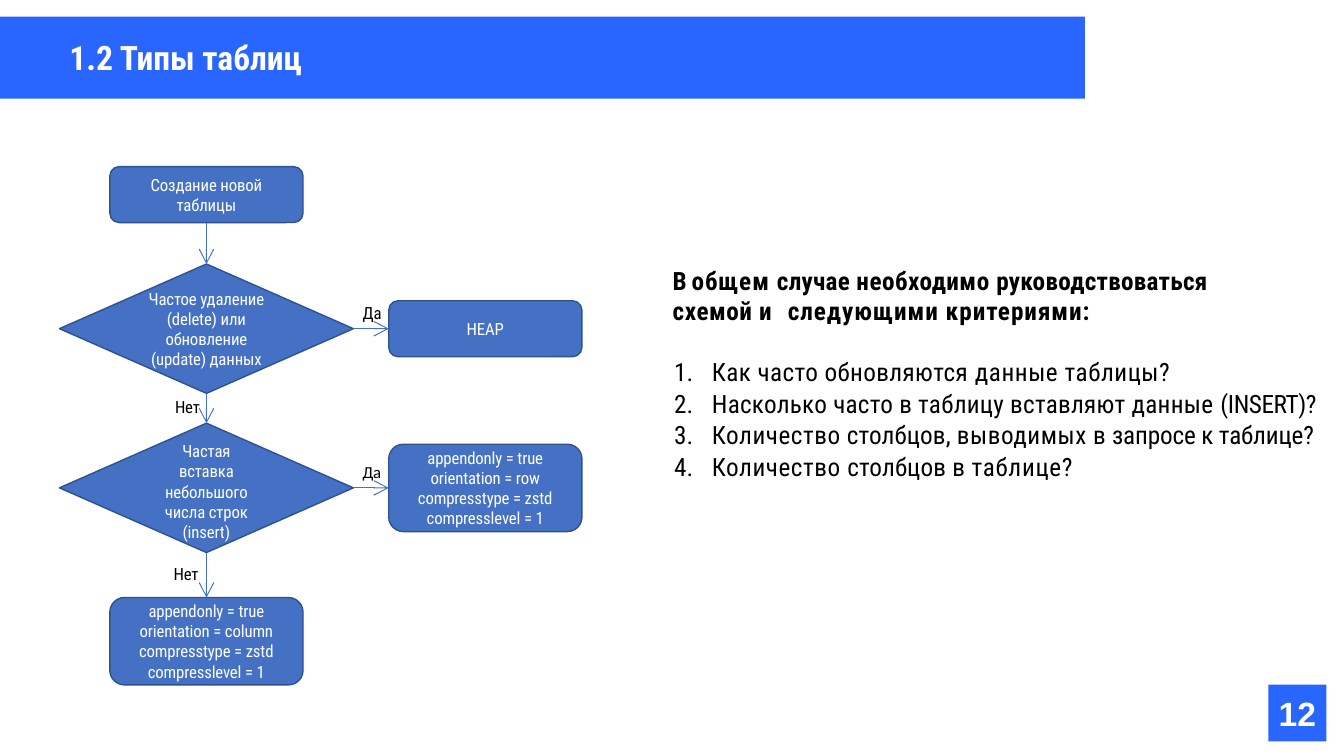
import dataclasses

import pptx
import pptx.dml.color
import pptx.enum.shapes
import pptx.enum.text
import pptx.oxml
import pptx.oxml.ns
import pptx.util

Pt = pptx.util.Pt
RGB = pptx.dml.color.RGBColor.from_string
SHAPE = pptx.enum.shapes.MSO_SHAPE
ALIGN = pptx.enum.text.PP_ALIGN
ANCHOR = pptx.enum.text.MSO_ANCHOR
TOP, LEFT, BOTTOM, RIGHT = range(4)


@dataclasses.dataclass(frozen=True)
class Theme:
    accent: str = "2965FF"
    node: str = "4471C4"
    outline: str = "2E528F"
    light: str = "FFFFFF"
    dark: str = "000000"
    font: str = "Roboto Condensed"
    number_font: str = "Arial"
    label_font: str = "Calibri"
    title: int = 24
    body: int = 18
    small: int = 12


class SlideBuilder:
    def __init__(self, slide, theme):
        self.slide, self.theme = slide, theme

    def place(self, sp, left, top, width, height):
        box = {"left": left, "top": top, "width": width, "height": height}
        for name, value in box.items():
            setattr(sp, name, Pt(value))

    def text(self, sp, paragraphs, size, color, bold=False, font=None,
             align=ALIGN.LEFT, anchor=ANCHOR.TOP, wrap=True, before=0, inset=0):
        tf = sp.text_frame
        frame = {"word_wrap": wrap, "vertical_anchor": anchor,
                 "auto_size": pptx.enum.text.MSO_AUTO_SIZE.NONE}
        for side in ("left", "top", "right", "bottom"):
            frame["margin_" + side] = Pt(inset)
        for name, value in frame.items():
            setattr(tf, name, value)
        style = {"name": font or self.theme.font, "size": Pt(size), "bold": bold}
        for i, runs in enumerate(paragraphs):
            p = tf.add_paragraph() if i else tf.paragraphs[0]
            p.alignment, p.space_before = align, Pt(before)
            for words, spacing in runs:
                for j, line in enumerate(words.split("\n")):
                    if j:
                        p.add_line_break()
                    r = p.add_run()
                    r.text = line
                    for name, value in style.items():
                        setattr(r.font, name, value)
                    r.font.color.rgb = RGB(color)
                    r._r.get_or_add_rPr().set("spc", str(round(spacing * 100)))
        return tf

    def title(self, words, *box):
        sp = self.slide.shapes.title
        self.place(sp, *box)
        self.text(sp, [[(words, 0)]], self.theme.title, self.theme.light,
                  bold=True, anchor=ANCHOR.MIDDLE, inset=7)

    def numbered_list(self, items, *box):
        sp = self.slide.placeholders[1]
        self.place(sp, *box)
        tf = self.text(sp, items, self.theme.body, self.theme.dark, before=0.9)
        for p in tf.paragraphs:
            pPr = p._p.get_or_add_pPr()
            pPr.set("marL", str(Pt(28)))
            pPr.set("indent", str(Pt(-27)))
            pPr.append(pptx.oxml.parse_xml(
                "<a:buAutoNum %s type='arabicPeriod'/>" % pptx.oxml.ns.nsdecls("a")))

    def shape(self, kind, fill, *box, line=None):
        sp = self.slide.shapes.add_shape(kind, *map(Pt, box))
        sp.shadow.inherit = False
        sp.fill.solid()
        sp.fill.fore_color.rgb = RGB(fill)
        if line:
            sp.line.color.rgb = RGB(line)
            sp.line.width = Pt(1)
        else:
            sp.line.fill.background()
        return sp

    def banner(self, *box):
        sp = self.shape(SHAPE.RECTANGLE, self.theme.accent, *box)
        self.slide.shapes._spTree.insert(2, sp._element)

    def page_number(self, number, *box):
        sp = self.shape(SHAPE.RECTANGLE, self.theme.accent, *box)
        self.text(sp, [[(number, 0)]], self.theme.title, self.theme.light, bold=True,
                  font=self.theme.number_font, align=ALIGN.CENTER, anchor=ANCHOR.MIDDLE)

    def node(self, kind, words, x, y, width, height):
        sp = self.shape(kind, self.theme.node, x - width / 2, y - height / 2,
                        width, height, line=self.theme.outline)
        self.text(sp, [[(words, -0.1)]], self.theme.small, self.theme.light,
                  align=ALIGN.CENTER, anchor=ANCHOR.MIDDLE, wrap=False)
        return sp

    def arrow(self, start, end, start_side, end_side):
        sp = self.slide.shapes.add_connector(
            pptx.enum.shapes.MSO_CONNECTOR.STRAIGHT, 0, 0, 0, 0)
        sp.begin_connect(start, start_side)
        sp.end_connect(end, end_side)
        sp.line.color.rgb = RGB(self.theme.node)
        sp.line.width = Pt(0.75)
        ns = pptx.oxml.ns.nsdecls("a")
        sp.line._get_or_add_ln().append(pptx.oxml.parse_xml(
            "<a:tailEnd %s type='arrow' w='lg' len='lg'/>" % ns))
        sp._element.spPr.append(pptx.oxml.parse_xml("<a:effectLst %s/>" % ns))

    def textbox(self, paragraphs, size, *box, **style):
        sp = self.slide.shapes.add_textbox(*map(Pt, box))
        self.text(sp, paragraphs, size, self.theme.dark, before=1, **style)


def main():
    prs = pptx.Presentation()
    prs.slide_width, prs.slide_height = Pt(960), Pt(540)
    theme = Theme()
    s = SlideBuilder(prs.slides.add_slide(prs.slide_layouts[1]), theme)

    s.banner(0, 12, 775, 58.5)
    s.title("1.2 Типы таблиц", 42.5, 23, 684, 36)
    s.page_number("12", 906, 489, 41.5, 40.5)

    main_x, side_x = 147.5, 346.7
    update_y, insert_y = 234.8, 348.5
    small, large, diamond = (138, 40), (138, 62.4), (210, 92.4)
    options = ("appendonly = true\norientation = {}\n"
               "compresstype = zstd\ncompresslevel = 1")
    box = SHAPE.ROUNDED_RECTANGLE
    create = s.node(box, "Создание новой\nтаблицы", main_x, 139, *small)
    update = s.node(SHAPE.DIAMOND, "Частое удаление\n(delete) или\nобновление\n(update) данных",
                    main_x, update_y, *diamond)
    insert = s.node(SHAPE.DIAMOND, "Частая\nвставка\nнебольшого\nчисла строк\n(insert)",
                    main_x, insert_y, *diamond)
    insert.text_frame.margin_top = Pt(5)
    heap = s.node(box, "HEAP", side_x, update_y, *small)
    row = s.node(box, options.format("row"), side_x, insert_y, *large)
    column = s.node(box, options.format("column"), main_x, 458, *large)

    for start, end in ((create, update), (update, insert), (insert, column)):
        s.arrow(start, end, BOTTOM, TOP)
    for start, end in ((update, heap), (insert, row)):
        s.arrow(start, end, RIGHT, LEFT)

    for words, x, y, font in (("Да", 259, 216, theme.font), ("Да", 259, 330, theme.label_font),
                              ("Нет", 125, 283.5, theme.font), ("Нет", 124, 402.5, theme.font)):
        s.textbox([[(words, -0.1)]], theme.small, x, y, 21, 16, font=font, wrap=False)

    s.textbox([[("В ", -0.8), ("общем ", 0.7), ("случае ", 0.2), ("необходимо ", 0.4),
                ("руководствоваться ", 0.2), ("схемой ", 0.4), ("и", 1.4), (" ", 6),
                ("следующими критериями:", 0.7)]],
              theme.body, 480.5, 189.5, 433, 45, bold=True)
    s.numbered_list([
        [("Как часто обновляются ", 0.3), ("данные таблицы?", 0.4)],
        [("Насколько часто в таблицу вставляют данные ", 0.2), ("(INSERT)?", -0.3)],
        [("Количество", 0.4), (" столбцов, ", 0.1), ("выводимых", 0.4), (" в ", 0.2),
         ("запросе к таблице?", -0.1)],
        [("Количество ", 0.4), ("столбцов ", 0.1), ("в ", 0.3), ("таблице?", 0.5)],
    ], 480.5, 254.5, 468, 91.5)

    prs.save("out.pptx")


if __name__ == "__main__":
    main()
